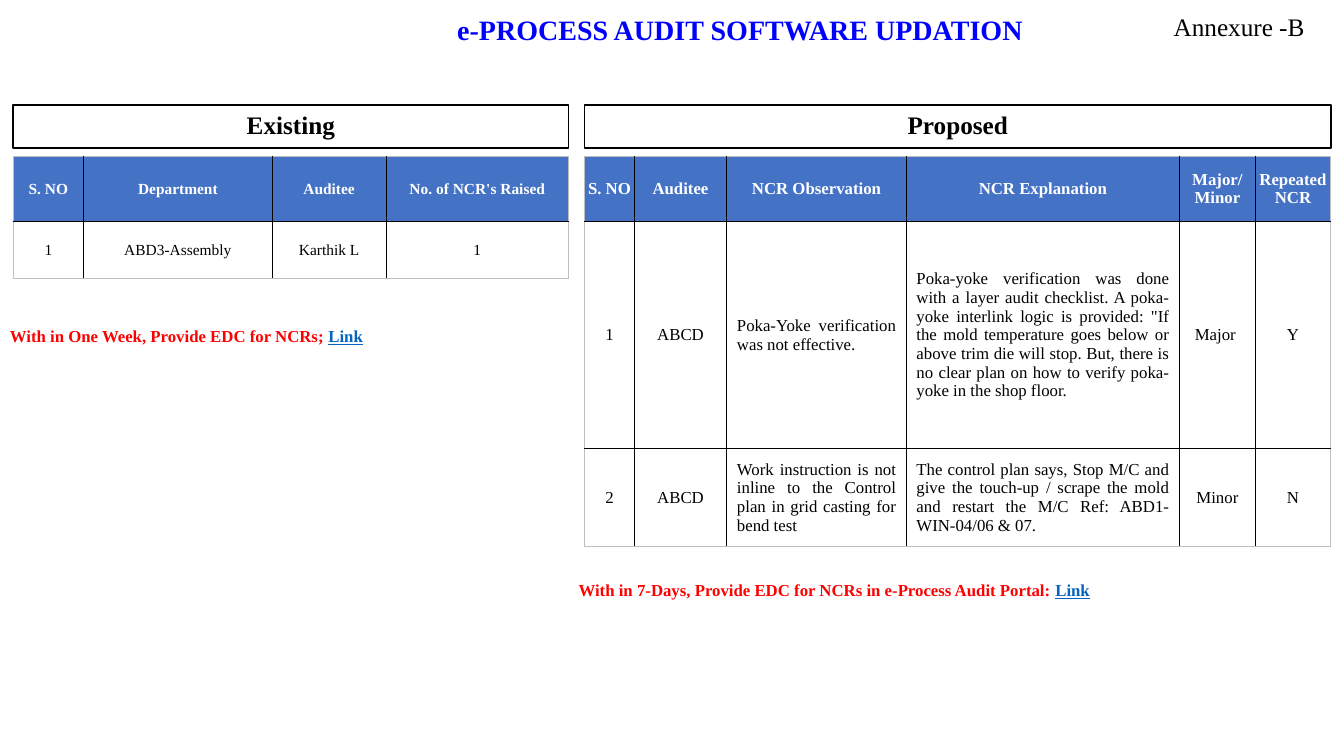
from pptx import Presentation
from pptx.dml.color import RGBColor
from pptx.enum.shapes import MSO_SHAPE
from pptx.enum.text import MSO_ANCHOR, PP_ALIGN
from pptx.oxml import parse_xml
from pptx.oxml.ns import nsdecls
from pptx.util import Inches, Pt

LEFT, CENTER, JUSTIFY = PP_ALIGN.LEFT, PP_ALIGN.CENTER, PP_ALIGN.JUSTIFY
TOP, MIDDLE = MSO_ANCHOR.TOP, MSO_ANCHOR.MIDDLE
RECT = MSO_SHAPE.RECTANGLE
FONT = "Times New Roman"
COLORS = {"title": "0000FF", "header": "4472C4", "white": "FFFFFF", "black": "000000",
          "edge": "BFBFBF", "alert": "FF0000", "link": "0563C1"}

# Content: column widths and row heights in inches
TITLE = "e-PROCESS AUDIT SOFTWARE UPDATION"
ANNEXURE = "Annexure -B"
PANELS = [
    {"name": "Existing", "left": 0.13, "size": 11,
     "cols": [0.7, 1.87, 1.13, 1.81], "rows": [0.65, 0.56], "justified": (),
     "cells": [["S. NO", "Department", "Auditee", "No. of NCR's Raised"],
               ["1", "ABD3-Assembly", "Karthik L", "1"]],
     "note": "With in One Week, Provide EDC for NCRs; ", "note_box": (0, 3.18, 3.74, 0.3)},
    {"name": "Proposed", "left": 5.8, "size": 12,
     "cols": [0.49, 0.92, 1.78, 2.71, 0.75, 0.75], "rows": [0.65, 2.25, 0.97],
     "justified": (2, 3),
     "cells": [["S. NO", "Auditee", "NCR Observation", "NCR Explanation",
                "Major/\nMinor", "Repeated NCR"],
               ["1", "ABCD", "Poka-Yoke verification was not effective. ",
                "Poka-yoke verification was done with a layer audit checklist. A poka-yoke "
                "interlink logic is provided: \"If the mold temperature goes below or above "
                "trim die will stop. But, there is no clear plan on how to verify poka-yoke "
                "in the shop floor. ", "Major ", "Y"],
               ["2", "ABCD", "Work instruction is not inline to the Control plan in grid "
                "casting for bend test",
                "The control plan says, Stop M/C and give the touch-up / scrape the mold and "
                "restart the M/C Ref: ABD1-WIN-04/06 & 07.", "Minor", "N"]],
     "note": "With in 7-Days, Provide EDC for NCRs in e-Process Audit Portal: ",
     "note_box": (5.64, 5.7, 5.32, 0.3)},
]
LINK = "Link"
BANNER_TOP, BANNER_H, TABLE_TOP = 1.04, 0.43, 1.55


def rgb(name):
    return RGBColor.from_string(COLORS[name])


def add_run(p, text, size=12, color="black", bold=False, underline=False):
    r = p.add_run()
    r.text = text
    r.font.name, r.font.size = FONT, Pt(size)
    r.font.bold, r.font.underline = bold, underline
    r.font.color.rgb = rgb(color)


def write(tf, text, align=CENTER, anchor=MIDDLE, spacing=None, before=None, wrap=True, **fmt):
    tf.word_wrap, tf.vertical_anchor = wrap, anchor
    for i, line in enumerate(text.split("\n")):
        p = tf.add_paragraph() if i else tf.paragraphs[0]
        p.alignment, p.line_spacing = align, spacing
        p.space_before = before
        add_run(p, line, **fmt)
    return p


def add_text(s, box, text, **fmt):
    sp = s.shapes.add_textbox(*map(Inches, box))
    return write(sp.text_frame, text, **fmt)


def set_border(cell, side, color):
    cell._tc.get_or_add_tcPr().append(parse_xml(
        f'<a:{side} {nsdecls("a")} w="12700"><a:solidFill>'
        f'<a:srgbClr val="{COLORS[color]}"/></a:solidFill></a:{side}>'))


def add_banner(s, panel):
    sp = s.shapes.add_shape(RECT, Inches(panel["left"]), Inches(BANNER_TOP),
                            Inches(sum(panel["cols"])), Inches(BANNER_H))
    sp.shadow.inherit = False
    sp.fill.background()
    sp.line.color.rgb = rgb("black")
    sp.line.width = Pt(1)
    write(sp.text_frame, panel["name"], size=18, bold=True, spacing=0.9, before=Pt(7.5))


def add_grid(s, panel):
    cols, rows = panel["cols"], panel["rows"]
    table = s.shapes.add_table(len(rows), len(cols), Inches(panel["left"]), Inches(TABLE_TOP),
                               Inches(sum(cols)), Inches(sum(rows))).table
    for column, width in zip(table.columns, cols):
        column.width = Inches(width)
    for row, height in zip(table.rows, rows):
        row.height = Inches(height)
    for i, texts in enumerate(panel["cells"]):
        for j, text in enumerate(texts):
            cell, head = table.cell(i, j), i == 0
            justified = not head and j in panel["justified"]
            cell.margin_left = cell.margin_right = Inches(0.1 if justified else 0.01)
            cell.margin_top = cell.margin_bottom = Inches(0.01)
            cell.vertical_anchor = MIDDLE
            # Outer edges are grey, inner rules black
            outer = {"lnL": j == 0, "lnR": j == len(cols) - 1,
                     "lnT": i == 0, "lnB": i == len(rows) - 1}
            for side, is_outer in outer.items():
                set_border(cell, side, "edge" if is_outer else "black")
            if head:
                cell.fill.solid()
                cell.fill.fore_color.rgb = rgb("header")
            else:
                cell.fill.background()
            write(cell.text_frame, text, align=JUSTIFY if justified else CENTER,
                  size=panel["size"], bold=head, color="white" if head else "black")


def main():
    prs = Presentation()
    prs.slide_width, prs.slide_height = Inches(13.33), Inches(7.5)
    s = prs.slides.add_slide(prs.slide_layouts[6])

    # Heading
    add_text(s, (1.5, -0.04, 11.68, 0.71), TITLE, size=20, bold=True, color="title", spacing=0.9)
    add_text(s, (11.3, 0.1, 1.98, 0.33), ANNEXURE, size=18)

    # Banner, table and note of each panel
    for panel in PANELS:
        add_banner(s, panel)
        add_grid(s, panel)
        p = add_text(s, panel["note_box"], panel["note"], align=LEFT, anchor=TOP, wrap=False,
                     bold=True, color="alert")
        add_run(p, LINK, bold=True, underline=True, color="link")

    prs.save("out.pptx")


if __name__ == "__main__":
    main()
